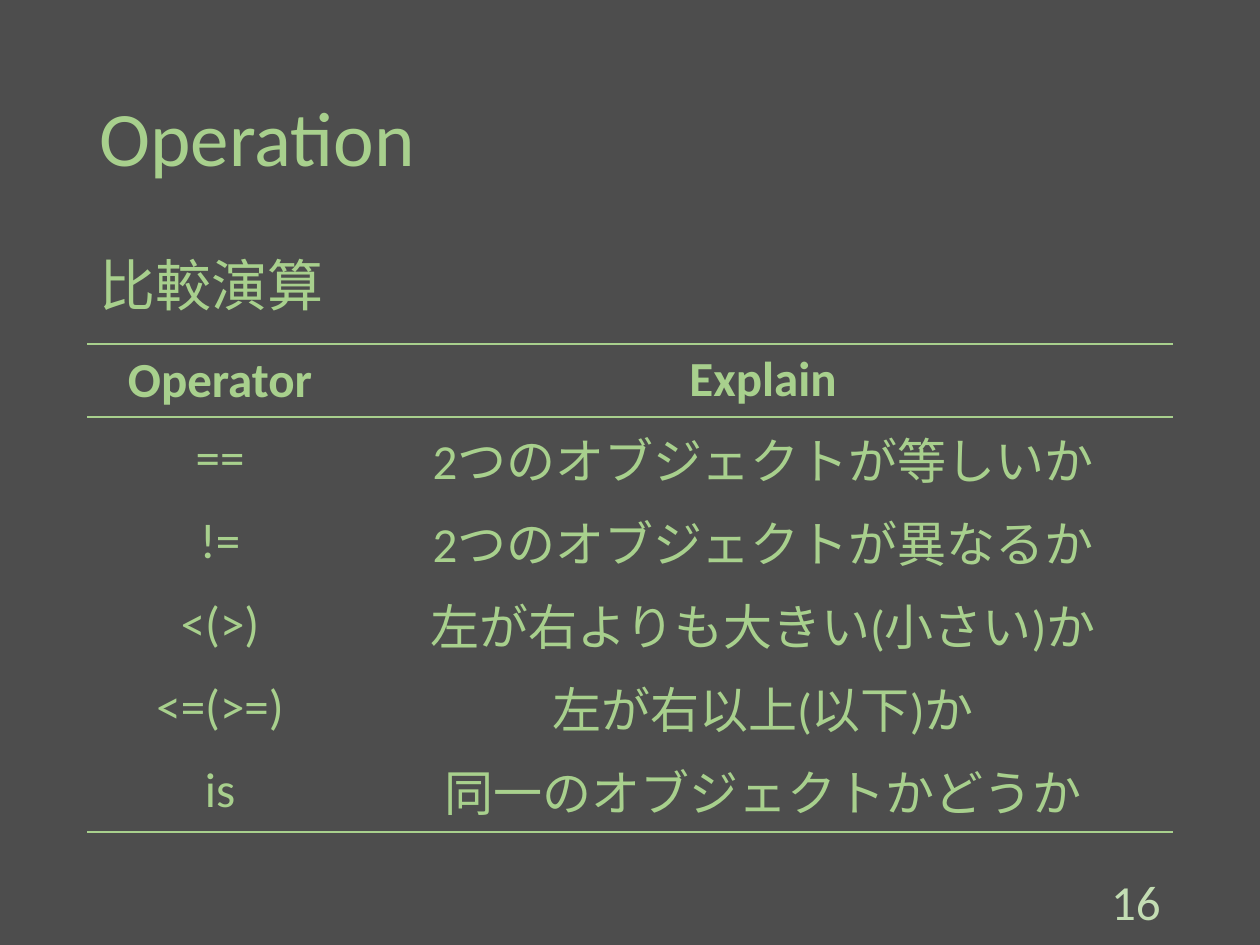
import pptx
import pptx.util
import pptx.dml.color
import pptx.enum.text
import pptx.oxml
import pptx.oxml.ns

PX = 914400 / 126
BACKGROUND = pptx.dml.color.RGBColor(0x4D, 0x4D, 0x4D)
GREEN = pptx.dml.color.RGBColor(0xA8, 0xD0, 0x8D)
PALE_GREEN = pptx.dml.color.RGBColor(0xC3, 0xDD, 0xB3)
NO_STYLE = "{2D5ABB26-0587-4C30-8999-92F81FD0307C}"
ALIGN = pptx.enum.text.PP_ALIGN
ANCHOR = pptx.enum.text.MSO_ANCHOR

LEFT, WIDTH = 87, 1086
OPERATORS = [
    ("Operator", "Explain"),
    ("==", "2つのオブジェクトが等しいか"),
    ("!=", "2つのオブジェクトが異なるか"),
    ("<(>)", "左が右よりも大きい(小さい)か"),
    ("<=(>=)", "左が右以上(以下)か"),
    ("is", "同一のオブジェクトかどうか"),
]


def px(*lengths):
    """Turn px into EMU."""
    return [pptx.util.Emu(round(length * PX)) for length in lengths]


def write(frame, text, size, color=GREEN, align=ALIGN.LEFT, bold=False):
    frame.text = text
    paragraph = frame.paragraphs[0]
    paragraph.alignment = align
    font = paragraph.runs[0].font
    font.name = "Calibri"
    font.size = pptx.util.Pt(size)
    font.bold = bold
    font.color.rgb = color
    return paragraph


deck = pptx.Presentation()
deck.slide_width, deck.slide_height = px(1260, 945)
slide = deck.slides.add_slide(deck.slide_layouts[5])
slide.background.fill.solid()
slide.background.fill.fore_color.rgb = BACKGROUND

title = slide.shapes.title
title.left, title.top, title.width, title.height = px(LEFT, 50, WIDTH, 183)
title.text_frame.vertical_anchor = ANCHOR.MIDDLE
write(title.text_frame, "Operation", 44).line_spacing = 0.9

subtitle = slide.shapes.add_textbox(*px(LEFT, 252, WIDTH, 92)).text_frame
subtitle.word_wrap = True
write(subtitle, "比較演算", 32).line_spacing = 0.9

page_number = slide.shapes.add_textbox(*px(890, 876, 283, 50)).text_frame
page_number.word_wrap = True
page_number.vertical_anchor = ANCHOR.MIDDLE
write(page_number, "16", 28, PALE_GREEN, ALIGN.RIGHT)

table_frame = slide.shapes.add_table(len(OPERATORS), 2, *px(LEFT, 344, WIDTH, 488))
table = table_frame.table
table.horz_banding = False
table._tbl.tblPr.find(pptx.oxml.ns.qn("a:tableStyleId")).text = NO_STYLE
for column, width in zip(table.columns, px(266, 820)):
    column.width = width

last = len(OPERATORS) - 1
for r, texts in enumerate(OPERATORS):
    table.rows[r].height = px(73 if r == 0 else 83)[0]
    ruled = {"T": r in (0, 1), "B": r in (0, last)}
    for c, text in enumerate(texts):
        cell = table.cell(r, c)
        cell.vertical_anchor = ANCHOR.MIDDLE if c == 0 else ANCHOR.TOP
        write(cell.text_frame, text, 28, align=ALIGN.CENTER, bold=r == 0)
        properties = cell._tc.get_or_add_tcPr()
        for side in "LRTB":
            paint = "<a:noFill/>"
            if ruled.get(side):
                paint = f'<a:solidFill><a:srgbClr val="{GREEN}"/></a:solidFill>'
            properties.append(pptx.oxml.parse_xml(
                f'<a:ln{side} {pptx.oxml.ns.nsdecls("a")} w="12700">{paint}</a:ln{side}>'))
        cell.fill.background()

deck.save("out.pptx")
